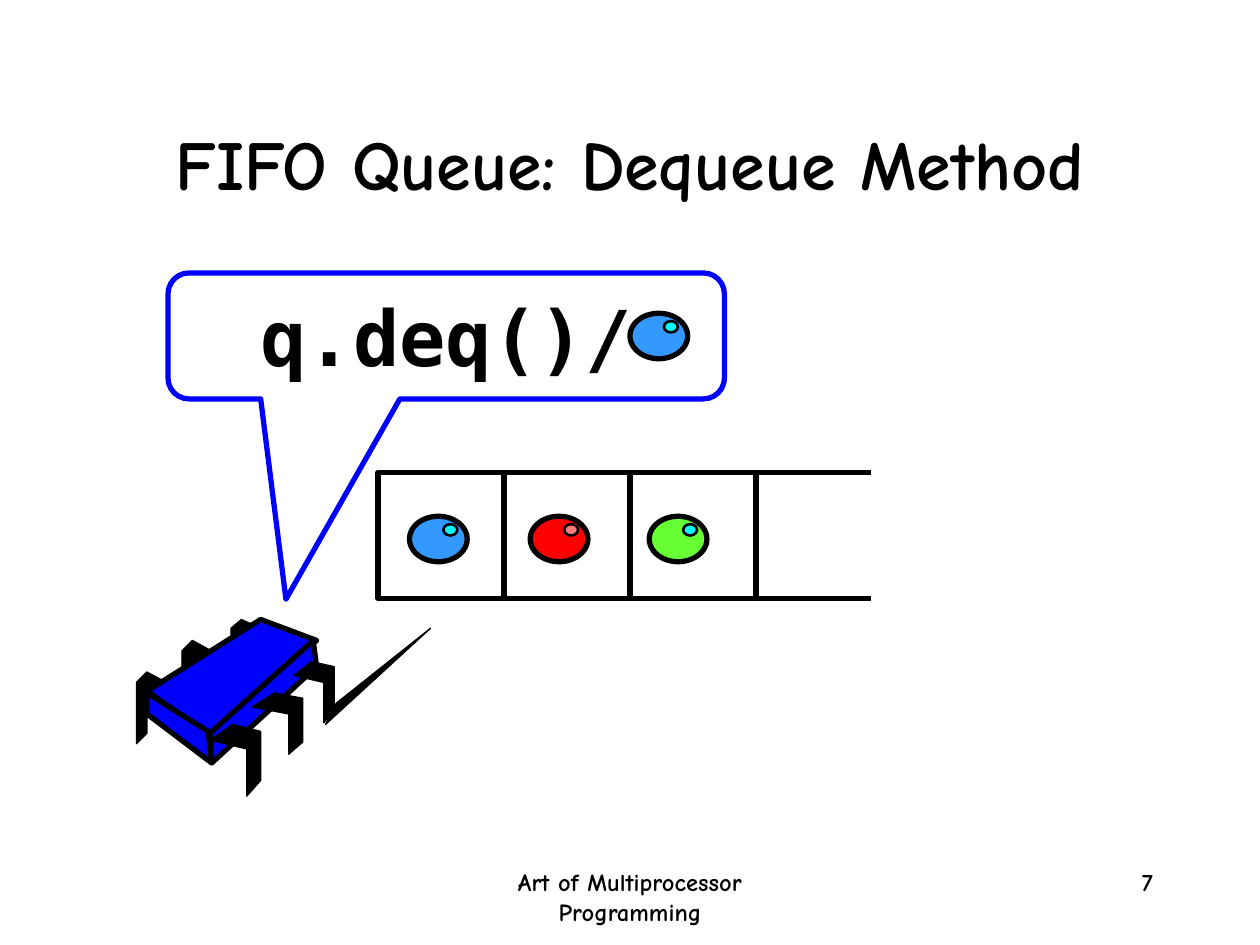
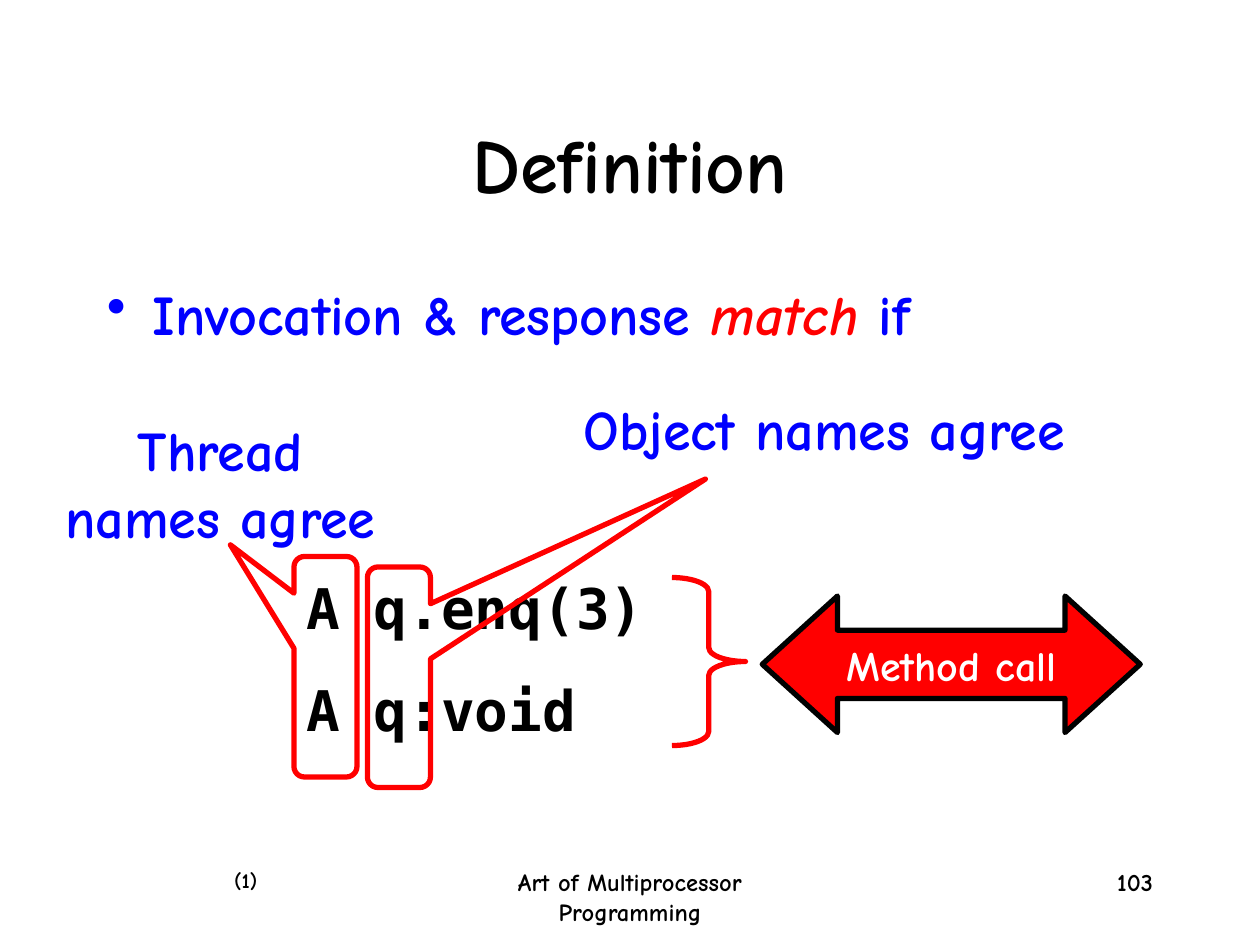
"""Build two slides on concurrent queues: the dequeue method and matching calls."""
from dataclasses import dataclass

from lxml import etree
from pptx import Presentation
from pptx import util as u
from pptx.dml.color import RGBColor
from pptx.enum import shapes, text
from pptx.oxml import ns


@dataclass(frozen=True)
class Theme:
    black: str = "000000"
    white: str = "FFFFFF"
    blue: str = "0000FF"
    red: str = "FF0000"
    sky: str = "3399FF"
    green: str = "66FF33"
    cyan: str = "00FFFF"
    pink: str = "FF7C80"
    body_font: str = "Comic Neue"
    code_font: str = "DejaVu Sans Mono"
    title: int = 44
    long_title: int = 40
    body: int = 32
    label: int = 24
    footer: int = 14
    note: int = 12
    thick: float = 3
    medium: float = 1.5
    thin: float = 0.75


theme = Theme()
Shape = shapes.MSO_SHAPE
Align = text.PP_ALIGN


def paint(shape, fill=None, line=theme.black, width=theme.thick):
    """Set the fill and outline of a shape and remove its shadow."""
    shape.shadow.inherit = False
    if fill:
        shape.fill.solid()
        shape.fill.fore_color.rgb = RGBColor.from_string(fill)
    else:
        shape.fill.background()
    shape.line.color.rgb = RGBColor.from_string(line)
    shape.line.width = u.Pt(width)
    return shape


def write(shape, words, *, size=theme.body, color=theme.black, font=theme.body_font,
          align=Align.LEFT, wrap=True, italic=False, join=False, before=0):
    """Add words to a shape, as a new paragraph or joined to the last one."""
    frame = shape.text_frame
    frame.word_wrap = wrap
    frame.auto_size = text.MSO_AUTO_SIZE.NONE
    if join or not frame.text:
        paragraph = frame.paragraphs[-1]
    else:
        paragraph = frame.add_paragraph()
    paragraph.alignment = align
    if before:
        paragraph.space_before = u.Pt(before)
    run = paragraph.add_run()
    run.text = words
    run.font.name = font
    run.font.size = u.Pt(size)
    run.font.bold = True
    run.font.italic = italic
    run.font.color.rgb = RGBColor.from_string(color)
    return paragraph


presentation = Presentation()
presentation.slide_width, presentation.slide_height = u.Pt(720), u.Pt(540)

slides = []
for title, title_size, number in (
    ("FIFO Queue: Dequeue Method", theme.long_title, "7"),
    ("Definition", theme.title, "103"),
):
    slide = presentation.slides.add_slide(presentation.slide_layouts[5])
    heading = slide.shapes.title
    heading.left, heading.top = u.Pt(54), u.Pt(48)
    heading.width, heading.height = u.Pt(612), u.Pt(90)
    heading.text_frame.vertical_anchor = text.MSO_ANCHOR.MIDDLE
    write(heading, title, size=title_size, align=Align.CENTER)
    for left, width, words, align in (
        (246, 228, "Art of Multiprocessor Programming", Align.CENTER),
        (516, 150, number, Align.RIGHT),
    ):
        footer = slide.shapes.add_textbox(u.Pt(left), u.Pt(492), u.Pt(width), u.Pt(36))
        write(footer, words, size=theme.footer, align=align)
    slides.append(slide)
queue_slide, match_slide = slides

cell = 72
queue_left, queue_top = 216, 270
for index in range(3):
    paint(queue_slide.shapes.add_shape(
        Shape.RECTANGLE, u.Pt(queue_left + index * cell), u.Pt(queue_top), u.Pt(cell), u.Pt(cell)))
for edge in (queue_top, queue_top + cell):
    rail = queue_slide.shapes.add_connector(
        shapes.MSO_CONNECTOR.STRAIGHT, u.Pt(426), u.Pt(edge), u.Pt(498), u.Pt(edge))
    rail.line.color.rgb = RGBColor.from_string(theme.black)
    rail.line.width = u.Pt(theme.thick)
    etree.SubElement(rail._element.spPr, ns.qn("a:effectLst"))

far_leg = [(17, 6), (6, 0), (0, 6), (0, 41), (6, 35), (6, 12), (17, 18)]
near_leg = [(13, 0), (0, 9), (21, 14), (21, 41), (29, 32), (29, 4)]
chip_body = [
    [(149, 354), (84, 395), (120, 420), (181, 366)],
    [(179, 366), (120, 419), (121, 436), (181, 381)],
    [(84, 396), (84, 408), (121, 436), (119, 418)],
]
antenna = [(186, 414), (192, 402), (246, 359)]
far_legs, near_legs = [
    [[(left + x * x_scale, top + y * y_scale) for x, y in leg]
     for left, top, x_scale, y_scale in places]
    for leg, places in (
        (far_leg, [(78, 384, 1, 1), (104, 366, 1, 1), (132, 354, 1, 0.86)]),
        (near_leg, [(120, 414, 1, 1), (144, 396, 1, 0.86), (168, 378, 0.8, 0.86)]),
    )
]
for outlines, fill, width in (
    (far_legs, theme.black, theme.thin),
    (chip_body, theme.blue, theme.thick),
    (near_legs + [antenna], theme.black, theme.thin),
):
    for start, *others in outlines:
        builder = queue_slide.shapes.build_freeform(*start, scale=u.Pt(1))
        builder.add_line_segments(others, close=True)
        paint(builder.convert_to_shape(), fill, width=width)

speech = paint(queue_slide.shapes.add_shape(
    Shape.ROUNDED_RECTANGULAR_CALLOUT, u.Pt(96), u.Pt(156), u.Pt(318), u.Pt(72)), line=theme.blue)
speech.adjustments[0], speech.adjustments[1] = -0.288, 2.09
write(speech, "q.deq()/", size=theme.title, font=theme.code_font, align=Align.CENTER)

for left, top, fill, shine in (
    (234, 295, theme.sky, theme.cyan),
    (303, 295, theme.red, theme.pink),
    (371, 295, theme.green, theme.cyan),
    (360, 179, theme.sky, theme.cyan),
):
    ball = queue_slide.shapes.add_group_shape()
    paint(ball.shapes.add_shape(
        Shape.OVAL, u.Pt(left), u.Pt(top), u.Pt(33), u.Pt(26)), fill)
    paint(ball.shapes.add_shape(
        Shape.OVAL, u.Pt(left + 19.4), u.Pt(top + 4.5), u.Pt(8), u.Pt(6.5)),
        shine, width=theme.medium)

statement = match_slide.shapes.add_textbox(u.Pt(54), u.Pt(156), u.Pt(612), u.Pt(324))
properties = statement.text_frame.paragraphs[0]._p.get_or_add_pPr()
properties.set("marL", str(u.Pt(26)))
properties.set("indent", str(-u.Pt(26)))
bullet_color = etree.SubElement(properties, ns.qn("a:buClr"))
etree.SubElement(bullet_color, ns.qn("a:srgbClr"), val=theme.blue)
etree.SubElement(properties, ns.qn("a:buChar"), char="•")
write(statement, "Invocation & response ", color=theme.blue)
write(statement, "match", color=theme.red, italic=True, join=True)
write(statement, " if", color=theme.blue, join=True)

history = match_slide.shapes.add_textbox(u.Pt(168), u.Pt(324), u.Pt(360), u.Pt(104))
write(history, "A q.enq(3)", font=theme.code_font)
write(history, "A q:void", font=theme.code_font, before=20)

brace = paint(match_slide.shapes.add_shape(
    Shape.RIGHT_BRACE, u.Pt(384), u.Pt(330), u.Pt(42), u.Pt(96)), line=theme.red)
brace.adjustments[0] = 0.19

for left, top, tip_x, tip_y in ((168, 318, -1.51, -0.553), (210, 324, 4.865, -0.899)):
    marker = paint(match_slide.shapes.add_shape(
        Shape.ROUNDED_RECTANGULAR_CALLOUT, u.Pt(left), u.Pt(top), u.Pt(36), u.Pt(126)),
        line=theme.red)
    marker.adjustments[0], marker.adjustments[1] = tip_x, tip_y

for left, top, width, height, inset, words in (
    (24, 234, 204, 84, 7.2, "Thread names agree"),
    (282, 222, 342, 46, 43.2, "Object names agree"),
):
    rule = match_slide.shapes.add_textbox(u.Pt(left), u.Pt(top), u.Pt(width), u.Pt(height))
    rule.text_frame.margin_left = u.Pt(inset)
    write(rule, words, color=theme.blue, align=Align.CENTER)

arrow = paint(match_slide.shapes.add_shape(
    Shape.LEFT_RIGHT_ARROW, u.Pt(435.6), u.Pt(340.6), u.Pt(216), u.Pt(78)), theme.red)
arrow.adjustments[0], arrow.adjustments[1] = 0.5, 0.551
write(arrow, "Method call", size=theme.label, color=theme.white, align=Align.CENTER, wrap=False)

step = match_slide.shapes.add_textbox(u.Pt(126.7), u.Pt(492), u.Pt(27.4), u.Pt(21.6))
write(step, "(1)", size=theme.note, align=Align.RIGHT, wrap=False)

presentation.save("out.pptx")
